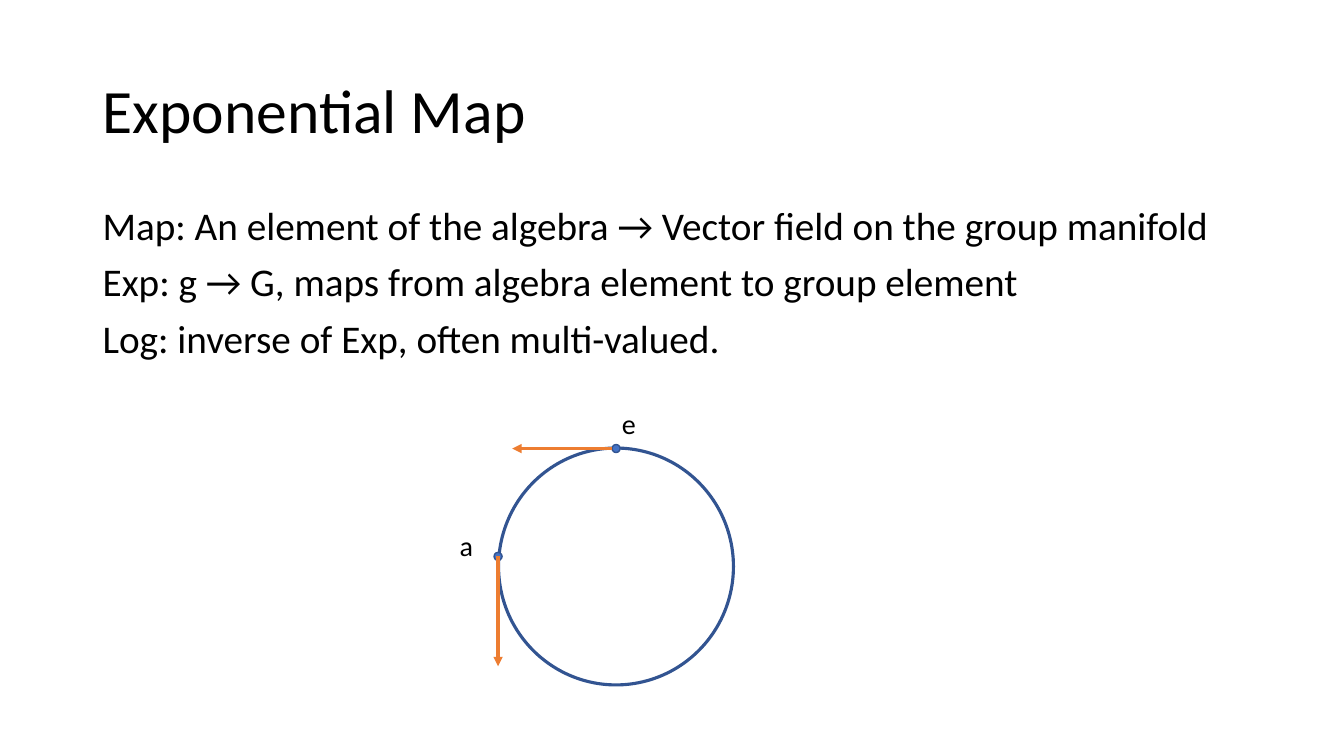
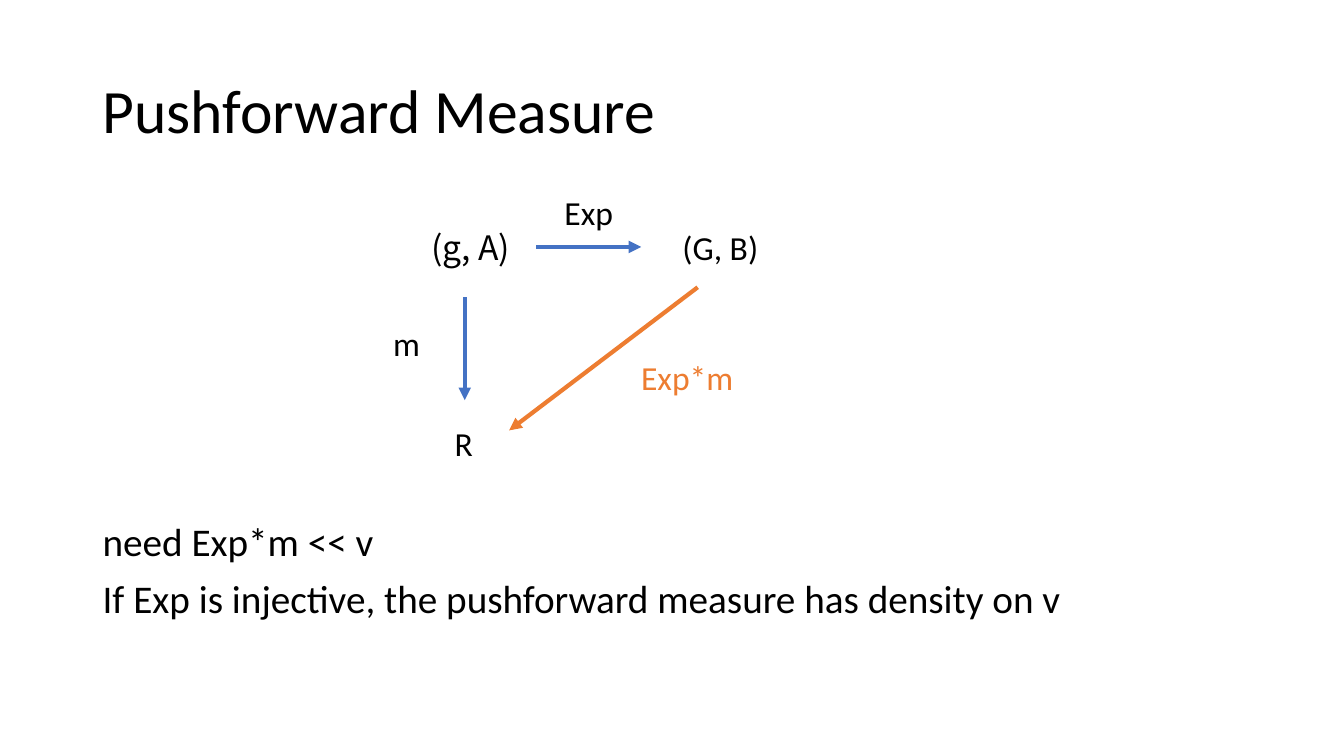
from dataclasses import dataclass

from lxml import etree
from pptx import Presentation
from pptx.dml.color import RGBColor
from pptx.enum.shapes import MSO_CONNECTOR, MSO_SHAPE
from pptx.enum.text import MSO_ANCHOR, MSO_AUTO_SIZE
from pptx.oxml.ns import qn
from pptx.util import Inches, Pt

STRAIGHT = MSO_CONNECTOR.STRAIGHT
OVAL = MSO_SHAPE.OVAL
TOP = MSO_ANCHOR.TOP
MIDDLE = MSO_ANCHOR.MIDDLE
NO_AUTOFIT = MSO_AUTO_SIZE.NONE
GROW = MSO_AUTO_SIZE.SHAPE_TO_FIT_TEXT


@dataclass(frozen=True)
class Theme:
    font: str = "Calibri"
    math_font: str = "Noto Sans CJK SC"
    text: RGBColor = RGBColor(0x00, 0x00, 0x00)
    white: RGBColor = RGBColor(0xFF, 0xFF, 0xFF)
    blue: RGBColor = RGBColor(0x44, 0x72, 0xC4)
    outline: RGBColor = RGBColor(0x32, 0x54, 0x91)
    orange: RGBColor = RGBColor(0xED, 0x7D, 0x31)
    title_size: int = 44
    body_size: int = 28
    label_size: int = 24
    point_size: int = 20
    line_spacing: float = 0.9
    paragraph_gap: int = 10
    margin: float = 0.92
    content_width: float = 11.5
    label_height: float = 0.5
    dot_size: float = 0.08


class Deck:
    def __init__(self, theme):
        self.theme = theme
        self.presentation = Presentation()
        self.presentation.slide_width = Inches(13.33)
        self.presentation.slide_height = Inches(7.5)
        self.slide = None

    def add_slide(self, title):
        layout = self.presentation.slide_layouts[6]
        self.slide = self.presentation.slides.add_slide(layout)
        self.add_block([title], 0.4, 1.45, self.theme.title_size, MIDDLE)

    def add_text(self, lines, left, top, width, height, size,
                 color=None, font=None):
        box = self.slide.shapes.add_textbox(
            Inches(left), Inches(top), Inches(width), Inches(height))
        frame = box.text_frame
        frame.text = "\n".join(lines)
        frame.word_wrap = True
        for paragraph in frame.paragraphs:
            paragraph.font.size = Pt(size)
            for run in paragraph.runs:
                run.font.size = Pt(size)
                run.font.name = font or self.theme.font
                run.font.color.rgb = color or self.theme.text
        return frame

    def add_block(self, lines, top, height, size, anchor=TOP):
        theme = self.theme
        frame = self.add_text(lines, theme.margin, top,
                              theme.content_width, height, size)
        frame.auto_size = NO_AUTOFIT
        frame.vertical_anchor = anchor
        for index, paragraph in enumerate(frame.paragraphs):
            paragraph.line_spacing = theme.line_spacing
            paragraph.space_before = Pt(theme.paragraph_gap if index else 0)

    def add_body(self, lines, top, height):
        self.add_block(lines, top, height, self.theme.body_size)

    def add_label(self, text, left, top, width, color=None, font=None):
        frame = self.add_text([text], left, top, width,
                              self.theme.label_height,
                              self.theme.label_size, color, font)
        frame.auto_size = GROW

    def add_point_label(self, text, left, top):
        frame = self.add_text([text], left, top, 0.34, 0.44,
                              self.theme.point_size)
        frame.word_wrap = False
        frame.auto_size = GROW

    def add_ellipse(self, center, width, height, fill, line_width):
        x, y = center
        shape = self.slide.shapes.add_shape(
            OVAL, Inches(x - width / 2), Inches(y - height / 2),
            Inches(width), Inches(height))
        shape.shadow.inherit = False
        shape.fill.solid()
        shape.fill.fore_color.rgb = fill
        shape.line.color.rgb = self.theme.outline
        shape.line.width = Pt(line_width)

    def add_dot(self, center):
        size = self.theme.dot_size
        self.add_ellipse(center, size, size, self.theme.blue, 1)

    def add_arrow(self, start, end, color, width):
        points = [Inches(value) for value in (*start, *end)]
        connector = self.slide.shapes.add_connector(STRAIGHT, *points)
        connector.line.color.rgb = color
        connector.line.width = Pt(width)
        line = connector.line._get_or_add_ln()
        etree.SubElement(line, qn("a:tailEnd"), type="triangle")
        properties = connector._element.spPr
        etree.SubElement(properties, qn("a:effectLst"))


def build_exponential_map(deck):
    theme = deck.theme
    deck.add_slide("Exponential Map")
    deck.add_body([
        "Map: An element of the algebra → Vector field on the group manifold",
        "Exp: g → G, maps from algebra element to group element",
        "Log: inverse of Exp, often multi-valued.",
    ], 2, 4.76)

    identity = (6.11, 4.45)
    element = (4.94, 5.52)
    deck.add_ellipse((6.11, 5.62), 2.33, 2.35, theme.white, 2.25)
    for point in (identity, element):
        deck.add_dot(point)
    deck.add_arrow((6.07, 4.45), (5.08, 4.45), theme.orange, 2.25)
    deck.add_arrow(element, (4.94, 6.61), theme.orange, 2.25)
    deck.add_point_label("e", 6.07, 3.98)
    deck.add_point_label("a", 4.46, 5.19)


def build_pushforward_measure(deck):
    theme = deck.theme
    deck.add_slide("Pushforward Measure")
    deck.add_body([
        "need Exp*m << v",
        "If Exp is injective, the pushforward measure has density on v",
    ], 5.14, 1.11)

    deck.add_label("(g, A)", 4.18, 2.2, 1.15, font=theme.math_font)
    for text, left, top, width in (
        ("(G, B)", 6.67, 2.2, 1.15),
        ("R", 4.41, 4.15, 0.38),
        ("m", 3.8, 3.15, 0.38),
        ("Exp", 5.5, 1.85, 1.01),
    ):
        deck.add_label(text, left, top, width)
    deck.add_label("Exp*m", 6.26, 3.49, 3.22, theme.orange)

    for start, end, color in (
        ((5.32, 2.45), (6.36, 2.45), theme.blue),
        ((4.61, 2.95), (4.61, 3.97), theme.blue),
        ((6.92, 2.85), (5.05, 4.27), theme.orange),
    ):
        deck.add_arrow(start, end, color, 3)


def main():
    deck = Deck(Theme())
    build_exponential_map(deck)
    build_pushforward_measure(deck)
    deck.presentation.save("out.pptx")


if __name__ == "__main__":
    main()
